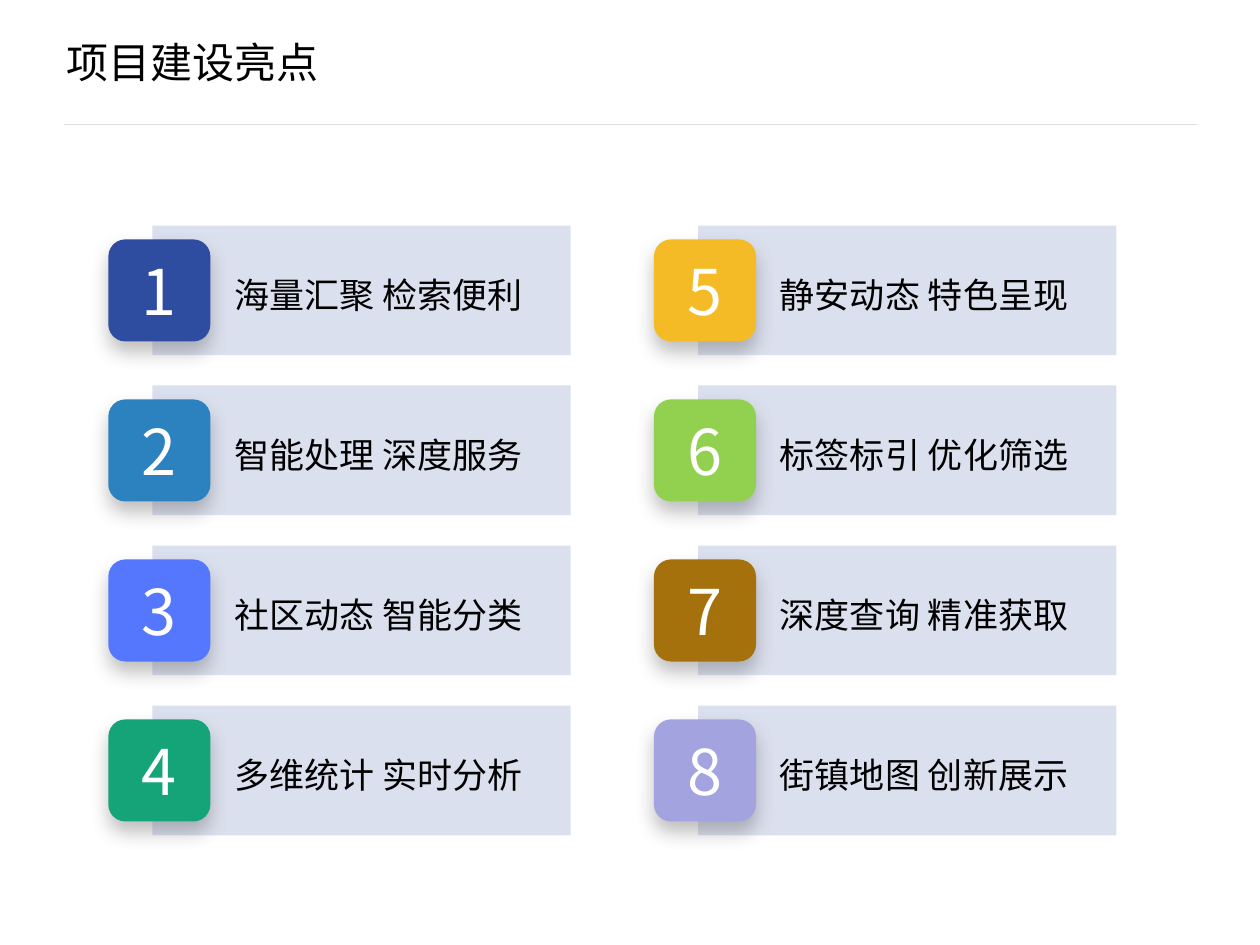
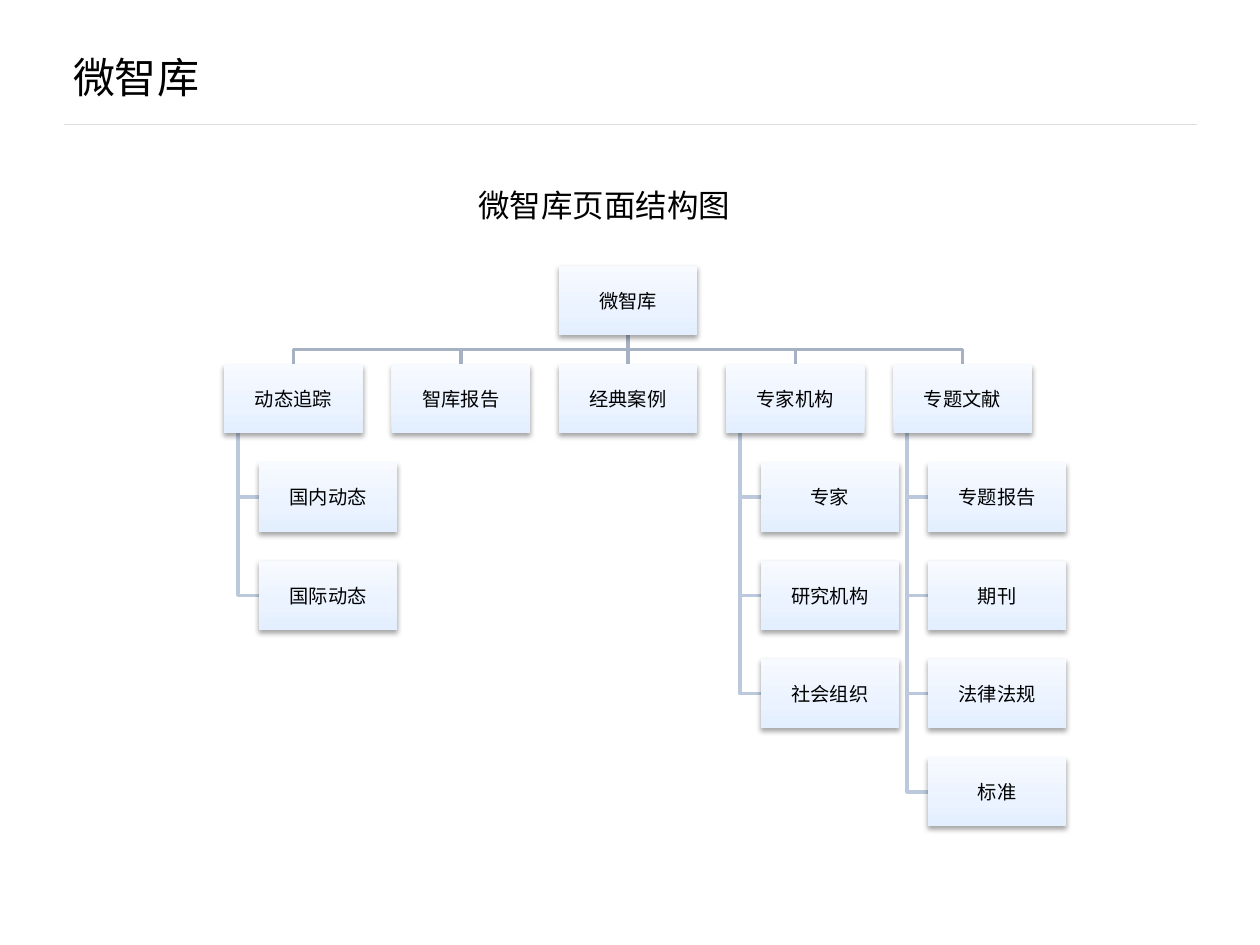
from copy import deepcopy
from dataclasses import dataclass

from lxml.etree import SubElement
from pptx import Presentation
from pptx.dml.color import RGBColor
from pptx.enum.shapes import MSO_CONNECTOR, MSO_SHAPE
from pptx.enum.text import MSO_ANCHOR, PP_ALIGN
from pptx.oxml.ns import qn
from pptx.util import Inches, Pt

HIGHLIGHTS_TITLE = "项目建设亮点"
HIGHLIGHTS = [
    ("海量汇聚 检索便利", "2E4DA0"),
    ("智能处理 深度服务", "2C82BE"),
    ("社区动态 智能分类", "5577FE"),
    ("多维统计 实时分析", "15A477"),
    ("静安动态 特色呈现", "F4BB27"),
    ("标签标引 优化筛选", "92D050"),
    ("深度查询 精准获取", "A4710C"),
    ("街镇地图 创新展示", "A3A3E0"),
]

LIBRARY_TITLE = "微智库"
LIBRARY_CAPTION = "微智库页面结构图"
LIBRARY_ROOT = "微智库"
LIBRARY_BRANCHES = [
    ("动态追踪", ["国内动态", "国际动态"]),
    ("智库报告", []),
    ("经典案例", []),
    ("专家机构", ["专家", "研究机构", "社会组织"]),
    ("专题文献", ["专题报告", "期刊", "法律法规", "标准"]),
]


@dataclass(frozen=True)
class Theme:
    cjk_font: str = "Noto Sans CJK SC"
    caption_font: str = "Arial"
    node_font: str = "Calibri"
    ink: str = "000000"
    white: str = "FFFFFF"
    rule: str = "DDDDDD"
    band: str = "2E4DA0"
    band_opacity: int = 17
    tile_shadow: tuple = ("606060", 40, 11, 6)
    node_shadow: tuple = ("000000", 35, 3, 1.8)
    node_gradient: tuple = (("E3EEFF", 0), ("EAF3FF", 0.35), ("F7FAFF", 1))
    branch_link: str = "A6B2C3"
    leaf_link: str = "BCC9DD"
    title_size: int = 24
    number_size: int = 36
    label_size: int = 20
    caption_size: int = 18
    node_size: int = 11


THEME = Theme()

ROWS_PER_COLUMN = 4
CARD_LEFT, CARD_TOP = 0.86, 1.79
CARD_COLUMN_STEP, CARD_ROW_STEP = 4.33, 1.27
BAND_WIDTH, BAND_HEIGHT = 3.32, 1.03
TILE_SIDE = 0.81

NODE_WIDTH, NODE_HEIGHT = 1.1, 0.55
TREE_LEFT, TREE_LAST_LEFT, TREE_TOP = 1.78, 7.09, 2.11
LEVEL_STEP = 0.78
LEAF_INDENT = NODE_WIDTH / 4
STEM_INDENT = NODE_WIDTH / 10


def inches(*lengths):
    return [Inches(length) for length in lengths]


def write(shape, text, size, font, color=THEME.ink, align=PP_ALIGN.LEFT,
          anchor=MSO_ANCHOR.TOP, inset=0.05, wrap=True):
    frame = shape.text_frame
    frame.text = text
    frame.word_wrap = wrap
    frame.vertical_anchor = anchor
    frame.margin_left = frame.margin_right = Inches(inset)
    frame.margin_top = frame.margin_bottom = Inches(inset)
    paragraph = frame.paragraphs[0]
    paragraph.alignment = align
    run = paragraph.runs[0]
    run.font.size = Pt(size)
    run.font.name = font
    run.font.color.rgb = RGBColor.from_string(color)
    SubElement(run.font._element, qn("a:ea"), typeface=THEME.cjk_font)


def add_box(slide, kind, box, fill=None):
    shape = slide.shapes.add_shape(kind, *inches(*box))
    if fill:
        shape.fill.solid()
        shape.fill.fore_color.rgb = RGBColor.from_string(fill)
    shape.line.fill.background()
    shape.shadow.inherit = False
    return shape


def cast_shadow(shape, color, opacity, blur, distance):
    effects = shape._element.spPr.find(qn("a:effectLst"))
    shadow = SubElement(
        effects, qn("a:outerShdw"), blurRad=str(Pt(blur)),
        dist=str(Pt(distance)), dir="5400000", rotWithShape="0")
    shade = SubElement(shadow, qn("a:srgbClr"), val=color)
    SubElement(shade, qn("a:alpha"), val=str(opacity * 1000))


def add_line(slide, start, end, color, width):
    line = slide.shapes.add_connector(
        MSO_CONNECTOR.STRAIGHT, *inches(*start, *end))
    line.line.color.rgb = RGBColor.from_string(color)
    line.line.width = Pt(width)
    SubElement(line._element.spPr, qn("a:effectLst"))


def add_titled_slide(deck, title, box):
    slide = deck.slides.add_slide(deck.slide_layouts[6])
    add_line(slide, (0.51, 0.99), (9.5, 0.99), THEME.rule, 0.75)
    write(slide.shapes.add_textbox(*inches(*box)), title, THEME.title_size,
          THEME.cjk_font, anchor=MSO_ANCHOR.MIDDLE, inset=0)
    return slide


def add_card(slide, number, label, color, left, top):
    band = add_box(slide, MSO_SHAPE.RECTANGLE,
                   (left + 0.35, top, BAND_WIDTH, BAND_HEIGHT), THEME.band)
    band_color = band._element.spPr.find(qn("a:solidFill"))[0]
    SubElement(band_color, qn("a:alpha"), val=str(THEME.band_opacity * 1000))

    tile_top = top + (BAND_HEIGHT - TILE_SIDE) / 2
    tile = add_box(slide, MSO_SHAPE.ROUNDED_RECTANGLE,
                   (left, tile_top, TILE_SIDE, TILE_SIDE), color)
    cast_shadow(tile, *THEME.tile_shadow)
    write(tile, str(number), THEME.number_size, THEME.cjk_font, THEME.white,
          PP_ALIGN.CENTER, MSO_ANCHOR.MIDDLE, inset=0)

    caption = slide.shapes.add_textbox(
        *inches(left + 0.95, top + 0.33, 2.43, 0.43))
    write(caption, label, THEME.label_size, THEME.cjk_font, wrap=False)


def add_link(slide, points, color):
    if len({x for x, _ in points}) == 1:
        add_line(slide, points[0], points[-1], color, 2)
        return
    corners = [tuple(inches(*point)) for point in points]
    builder = slide.shapes.build_freeform(*corners[0])
    builder.add_line_segments(corners[1:], close=False)
    link = builder.convert_to_shape()
    link.fill.background()
    link.line.color.rgb = RGBColor.from_string(color)
    link.line.width = Pt(2)
    link.shadow.inherit = False


def add_node(slide, label, left, top):
    node = add_box(slide, MSO_SHAPE.RECTANGLE,
                   (left, top, NODE_WIDTH, NODE_HEIGHT))
    node.fill.gradient()
    node.fill.gradient_angle = 90
    stops = node._element.spPr.find(".//" + qn("a:gsLst"))
    stops.insert(1, deepcopy(stops[0]))
    for stop, (color, position) in zip(node.fill.gradient_stops,
                                       THEME.node_gradient):
        stop.color.rgb = RGBColor.from_string(color)
        stop.position = position
    cast_shadow(node, *THEME.node_shadow)
    write(node, label, THEME.node_size, THEME.node_font,
          align=PP_ALIGN.CENTER, anchor=MSO_ANCHOR.MIDDLE, inset=0.01)


def build_highlights(deck):
    slide = add_titled_slide(deck, HIGHLIGHTS_TITLE, (0.53, 0.29, 5.89, 0.4))
    for index, (label, color) in enumerate(HIGHLIGHTS):
        column, row = divmod(index, ROWS_PER_COLUMN)
        add_card(slide, index + 1, label, color,
                 CARD_LEFT + column * CARD_COLUMN_STEP,
                 CARD_TOP + row * CARD_ROW_STEP)


def build_library(deck):
    slide = add_titled_slide(deck, LIBRARY_TITLE, (0.58, 0.41, 8.44, 0.4))
    caption = slide.shapes.add_textbox(*inches(3.62, 1.43, 2.35, 0.4))
    write(caption, LIBRARY_CAPTION, THEME.caption_size, THEME.caption_font,
          align=PP_ALIGN.CENTER)

    root_left = (TREE_LEFT + TREE_LAST_LEFT) / 2
    root_center = root_left + NODE_WIDTH / 2
    root_bottom = TREE_TOP + NODE_HEIGHT
    branch_top = TREE_TOP + LEVEL_STEP
    branch_bottom = branch_top + NODE_HEIGHT
    bus = (root_bottom + branch_top) / 2
    branch_step = (TREE_LAST_LEFT - TREE_LEFT) / (len(LIBRARY_BRANCHES) - 1)

    nodes = [(LIBRARY_ROOT, root_left, TREE_TOP)]
    for column, (branch, leaves) in enumerate(LIBRARY_BRANCHES):
        left = TREE_LEFT + column * branch_step
        center = left + NODE_WIDTH / 2
        add_link(slide, [(root_center, root_bottom), (root_center, bus),
                         (center, bus), (center, branch_top)],
                 THEME.branch_link)
        nodes.append((branch, left, branch_top))
        stem, leaf_left = left + STEM_INDENT, left + LEAF_INDENT
        for level, leaf in enumerate(leaves, start=1):
            leaf_top = branch_top + level * LEVEL_STEP
            leaf_middle = leaf_top + NODE_HEIGHT / 2
            add_link(slide, [(stem, branch_bottom), (stem, leaf_middle),
                             (leaf_left, leaf_middle)], THEME.leaf_link)
            nodes.append((leaf, leaf_left, leaf_top))
    for node in nodes:
        add_node(slide, *node)


def main():
    deck = Presentation()
    deck.slide_width, deck.slide_height = inches(10, 7.5)
    build_highlights(deck)
    build_library(deck)
    deck.save("out.pptx")


if __name__ == "__main__":
    main()
